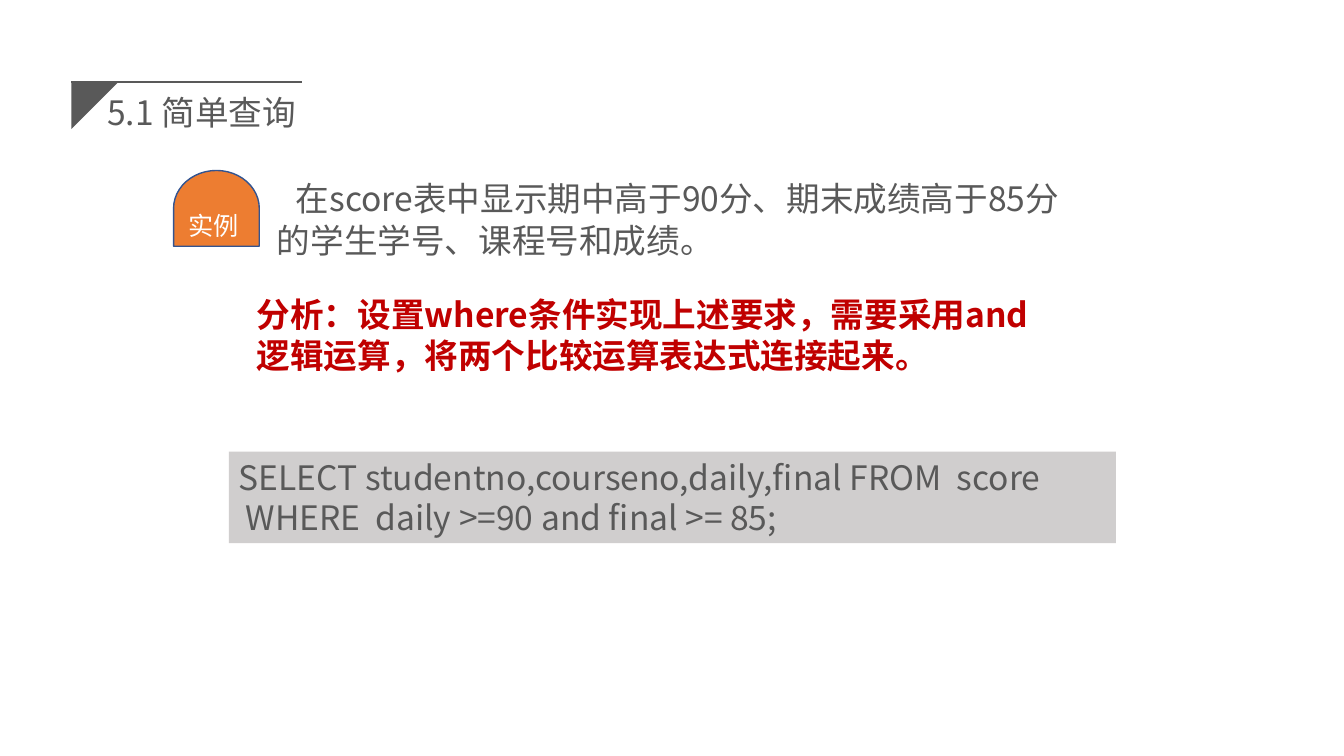
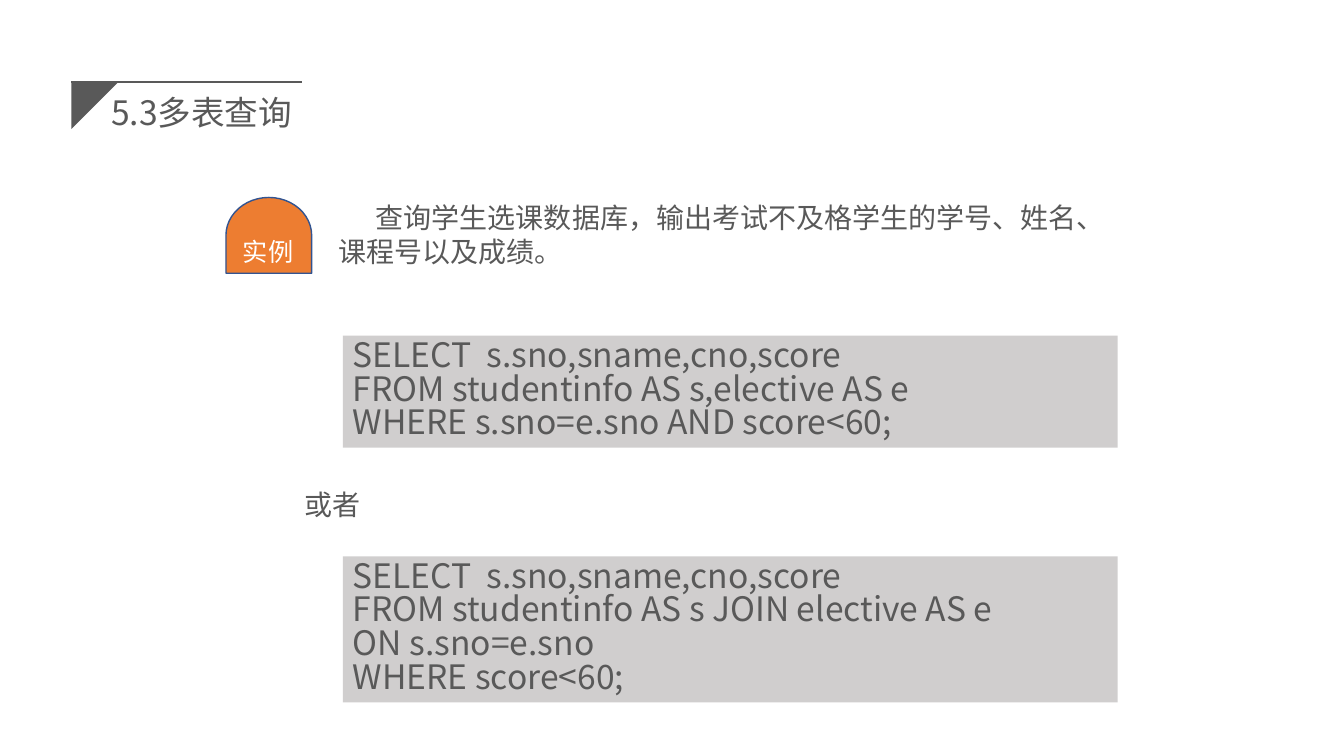
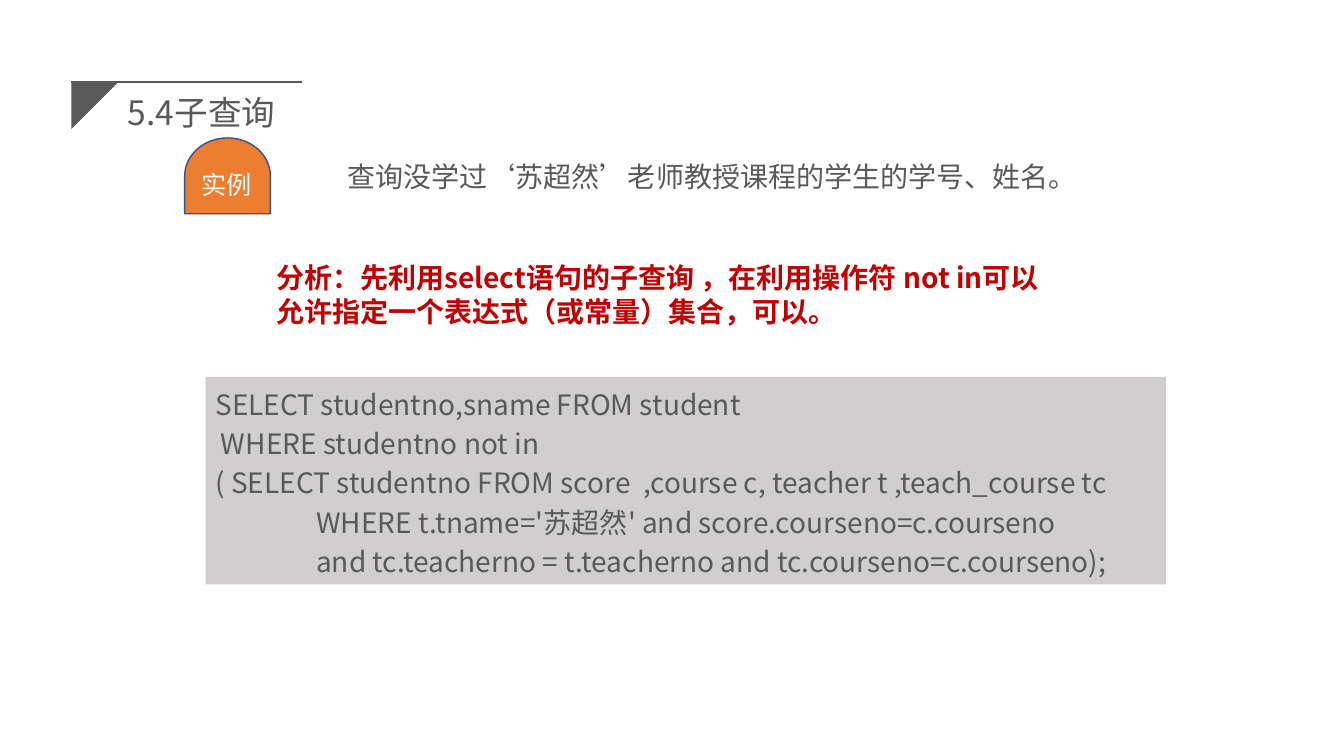
from lxml import etree
from pptx import Presentation
from pptx.dml.color import RGBColor
from pptx.enum.shapes import MSO_CONNECTOR, MSO_SHAPE
from pptx.enum.text import MSO_ANCHOR, MSO_AUTO_SIZE, PP_ALIGN
from pptx.oxml.ns import qn
from pptx.util import Cm, Pt

LINE = MSO_CONNECTOR.STRAIGHT
DELAY = MSO_SHAPE.FLOWCHART_DELAY
RECTANGLE = MSO_SHAPE.RECTANGLE
TOP, MIDDLE = MSO_ANCHOR.TOP, MSO_ANCHOR.MIDDLE
LEFT, CENTER = PP_ALIGN.LEFT, PP_ALIGN.CENTER
NO_FIT = MSO_AUTO_SIZE.NONE

FONT = "Noto Sans CJK SC"
COLORS = {
    "text": "595959",
    "analysis": "C00000",
    "code_panel": "D0CECE",
    "badge": "ED7D31",
    "badge_line": "325491",
    "badge_text": "FFFFFF",
}
TITLE_ONLY = 5
TITLE_BOX = (2.11, 1.75, 5.94, 2.13)
CORNER_LEFT, CORNER_TOP, CORNER_SIZE = 1.8, 2.06, 1.19
RULE_RIGHT = 7.62
BADGE_WIDTH, BADGE_HEIGHT = 1.91, 2.16
LABEL_WIDTH, LABEL_HEIGHT = 2.36, 1.02
LINE_FACTOR = 1.2


def color(name):
    return RGBColor.from_string(COLORS[name])


def apply(target, values):
    for name, value in values.items():
        setattr(target, name, value)


def paint(shape, fill):
    shape.shadow.inherit = False
    shape.fill.solid()
    shape.fill.fore_color.rgb = color(fill)
    shape.line.fill.background()


def write(shape, lines, size, tint="text", spacing=None, bold=False,
          align=LEFT, anchor=TOP):
    frame = shape.text_frame
    apply(frame, {"word_wrap": True, "auto_size": NO_FIT, "vertical_anchor": anchor})
    for index, (text, indent) in enumerate(lines):
        paragraph = frame.add_paragraph() if index else frame.paragraphs[0]
        apply(paragraph, {
            "alignment": align,
            "line_spacing": Pt(spacing or size * LINE_FACTOR),
            "space_before": Pt(0),
            "space_after": Pt(0),
        })
        paragraph._p.get_or_add_pPr().set("indent", str(Cm(indent)))
        run = paragraph.add_run()
        run.text = text
        apply(run.font, {"name": FONT, "size": Pt(size), "bold": bold})
        run.font.color.rgb = color(tint)
        east_asian = etree.SubElement(run._r.get_or_add_rPr(), qn("a:ea"))
        east_asian.set("typeface", FONT)


def add_text(slide, box, text, size, indent=0, **style):
    shape = slide.shapes.add_textbox(*map(Cm, box))
    write(shape, [(text, indent)], size, **style)


def add_analysis(slide, box, text, size):
    add_text(slide, box, text, size, tint="analysis", bold=True)


def add_code(slide, box, lines, size, spacing=None):
    panel = slide.shapes.add_shape(RECTANGLE, *map(Cm, box))
    paint(panel, "code_panel")
    write(panel, lines, size, spacing=spacing)


def add_badge(slide, left, top, label_left, label_top):
    badge = slide.shapes.add_shape(
        DELAY, Cm(left), Cm(top), Cm(BADGE_WIDTH), Cm(BADGE_HEIGHT))
    paint(badge, "badge")
    badge.rotation = 270
    badge.line.color.rgb = color("badge_line")
    badge.line.width = Pt(1)
    label_box = (left + label_left, top + label_top, LABEL_WIDTH, LABEL_HEIGHT)
    add_text(slide, label_box, "实例", 18, tint="badge_text")


def add_titled_slide(presentation, text):
    slide = presentation.slides.add_slide(presentation.slide_layouts[TITLE_ONLY])
    title = slide.shapes.title
    apply(title, dict(zip(("left", "top", "width", "height"), map(Cm, TITLE_BOX))))
    write(title, [(text, 0)], 24, align=CENTER, anchor=MIDDLE)

    left, top, size = Cm(CORNER_LEFT), Cm(CORNER_TOP), Cm(CORNER_SIZE)
    outline = slide.shapes.build_freeform(left, top)
    outline.add_line_segments([(left + size, top), (left, top + size)], close=True)
    paint(outline.convert_to_shape(), "text")

    rule = slide.shapes.add_connector(LINE, left, top, Cm(RULE_RIGHT), top)
    rule.line.color.rgb = color("text")
    rule.line.width = Pt(1.75)
    etree.SubElement(rule._element.spPr, qn("a:effectLst"))
    return slide


def build_simple_query(presentation):
    slide = add_titled_slide(presentation, "5.1 简单查询")
    add_text(slide, (6.73, 4.32, 20.62, 2.39),
             "在score表中显示期中高于90分、期末成绩高于85分的学生学号、课程号和成绩。",
             24, indent=0.48, spacing=30)
    add_badge(slide, 4.5, 4.17, 0, 1.01)
    add_analysis(slide, (6.22, 7.29, 20.04, 2.31),
                 "分析：设置where条件实现上述要求，需要采用and逻辑运算，将两个比较运算表达式连接起来。", 24)
    add_code(slide, (5.77, 11.38, 22.35, 2.31), [
        ("SELECT studentno,courseno,daily,final FROM  score", 0),
        ("WHERE  daily >=90 and final >= 85;", 0.17),
    ], 24)


def build_join_query(presentation):
    slide = add_titled_slide(presentation, "5.3多表查询")
    add_text(slide, (8.28, 4.93, 20.24, 1.96),
             "查询学生选课数据库，输出考试不及格学生的学号、姓名、课程号以及成绩。",
             20, indent=0.94)
    add_badge(slide, 5.82, 4.85, 0.05, 0.99)
    select = ("SELECT  s.sno,sname,cno,score", 0)
    add_code(slide, (8.64, 8.46, 19.53, 2.82), [
        select,
        ("FROM studentinfo AS s,elective AS e", 0),
        ("WHERE s.sno=e.sno AND score<60;", 0),
    ], 24, spacing=24)
    add_text(slide, (7.42, 12.17, 2.9, 1.12), "或者", 20)
    add_code(slide, (8.64, 14.02, 19.53, 3.68), [
        select,
        ("FROM studentinfo AS s JOIN elective AS e", 0),
        ("ON s.sno=e.sno", 0),
        ("WHERE score<60;", 0),
    ], 24, spacing=24)


def build_subquery(presentation):
    slide = add_titled_slide(presentation, "5.4子查询")
    add_text(slide, (8.51, 3.89, 22.58, 1.12),
             "查询没学过‘苏超然’老师教授课程的学生的学号、姓名。", 20)
    add_badge(slide, 4.78, 3.35, 0.05, 0.79)
    add_analysis(slide, (6.71, 6.45, 20.42, 1.96),
                 "分析：先利用select语句的子查询 ，在利用操作符 not in可以允许指定一个表达式（或常量）集合，可以。", 20)
    add_code(slide, (5.18, 9.5, 24.21, 5.23), [
        ("SELECT studentno,sname FROM student", 0),
        ("WHERE studentno not in", 0.14),
        ("( SELECT studentno FROM score  ,course c, teacher t ,teach_course tc", 0),
        ("WHERE t.tname='苏超然' and score.courseno=c.courseno", 2.54),
        ("and tc.teacherno = t.teacherno and tc.courseno=c.courseno);", 2.54),
    ], 20, spacing=28)


def main():
    presentation = Presentation()
    apply(presentation, {"slide_width": Cm(33.87), "slide_height": Cm(19.05)})
    for build in (build_simple_query, build_join_query, build_subquery):
        build(presentation)
    presentation.save("out.pptx")


if __name__ == "__main__":
    main()
